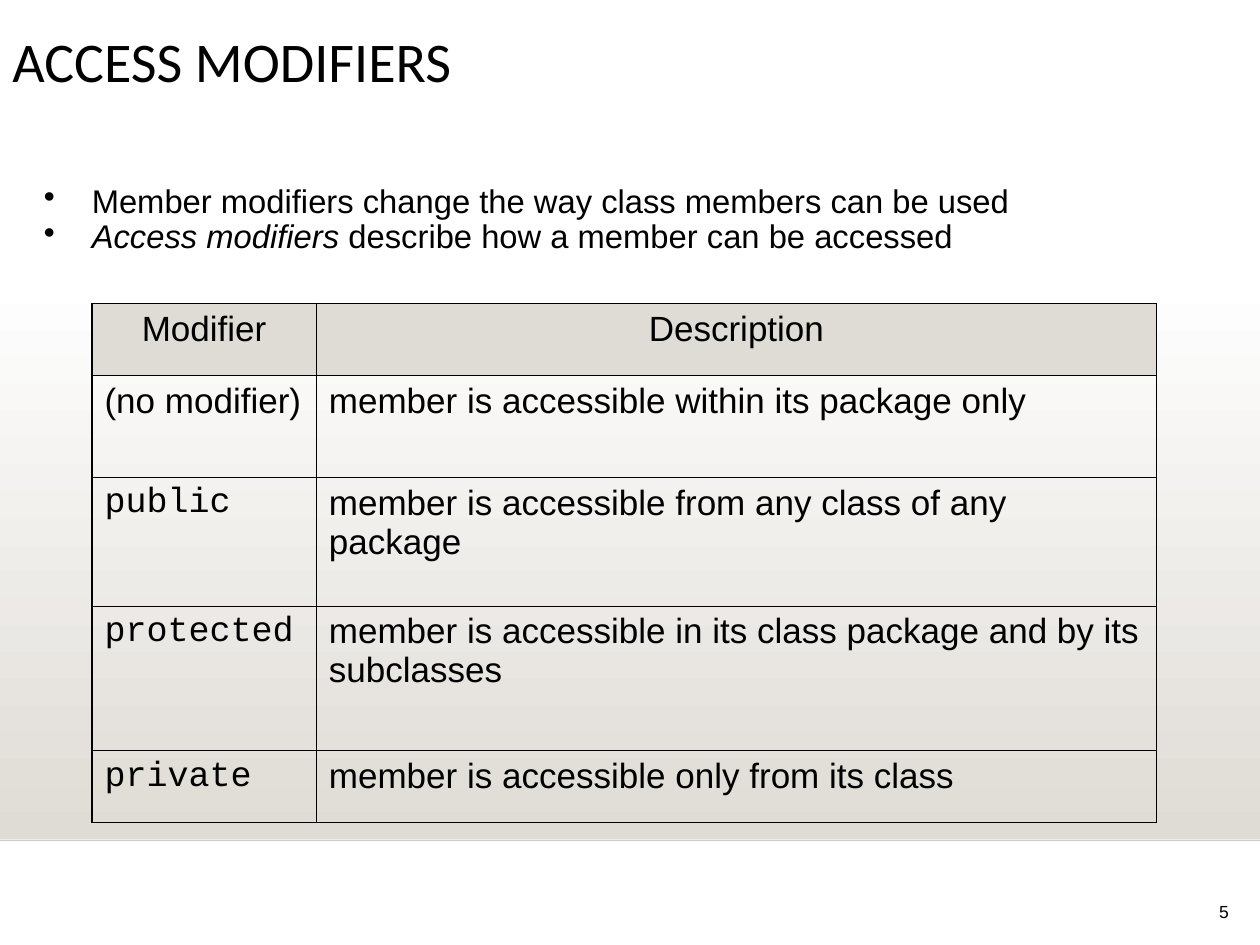
from dataclasses import dataclass

from lxml.etree import SubElement
from pptx import Presentation
from pptx.dml.color import RGBColor
from pptx.enum.shapes import MSO_CONNECTOR, MSO_SHAPE
from pptx.enum.text import MSO_ANCHOR, PP_ALIGN
from pptx.oxml.ns import qn
from pptx.util import Inches, Pt


@dataclass(frozen=True)
class Theme:
    ink: str = "000000"
    paper: str = "FFFFFF"
    sand: str = "DFDBD5"
    heading: str = "Calibri"
    body: str = "Arial"
    code: str = "Courier New"
    title_size: float = 32
    table_size: float = 20
    bullet_size: float = 18.7
    number_size: float = 10
    outer_line: float = 1.08
    inner_line: float = 0.45


class Deck:
    def __init__(self, prs, theme):
        self.theme = theme
        self.s = prs.slides.add_slide(prs.slide_layouts[6])

    def style(self, p, size, font, align=PP_ALIGN.LEFT):
        p.alignment = align
        p.font.size, p.font.name = Pt(size), font
        p.font.color.rgb = RGBColor.from_string(self.theme.ink)

    def gradient_band(self, x, y, w, h):
        sp = self.s.shapes.add_shape(
            MSO_SHAPE.RECTANGLE, Inches(x), Inches(y), Inches(w), Inches(h))
        sp.shadow.inherit = False
        sp.line.fill.background()
        sp.fill.gradient()
        sp.fill.gradient_angle = 270
        colors = (self.theme.paper, self.theme.sand)
        for stop, color in zip(sp.fill.gradient_stops, colors):
            stop.color.rgb = RGBColor.from_string(color)

    def rule(self, x, y, w, width, opacity):
        line = self.s.shapes.add_connector(
            MSO_CONNECTOR.STRAIGHT, Inches(x), Inches(y), Inches(x + w), Inches(y))
        line.line.width = Pt(width)
        line.line.color.rgb = RGBColor.from_string(self.theme.ink)
        color = line._element.spPr.find(".//" + qn("a:srgbClr"))
        SubElement(color, qn("a:alpha"), val=str(opacity * 1000))
        SubElement(line._element.spPr, qn("a:effectLst"))

    def text(self, x, y, w, h, paragraphs, size, font, align=PP_ALIGN.LEFT,
             anchor=MSO_ANCHOR.TOP, spacing=None, indent=None):
        """Each paragraph is a list of (text, italic) runs."""
        box = self.s.shapes.add_textbox(Inches(x), Inches(y), Inches(w), Inches(h))
        tf = box.text_frame
        tf.word_wrap, tf.vertical_anchor = True, anchor
        for i, runs in enumerate(paragraphs):
            p = tf.add_paragraph() if i else tf.paragraphs[0]
            self.style(p, size, font, align)
            p.line_spacing = spacing
            for content, italic in runs:
                r = p.add_run()
                r.text = content
                if italic:
                    r.font.italic = True
            if indent:
                self.bullet(p, indent)

    def bullet(self, p, indent):
        pPr = p._p.get_or_add_pPr()
        pPr.set("marL", str(Inches(indent)))
        pPr.set("indent", str(-Inches(indent)))
        mark = pPr.makeelement(qn("a:buChar"), {"char": "•"})
        pPr.insert_element_before(mark, "a:tabLst", "a:defRPr", "a:extLst")

    def borders(self, cell, widths):
        tcPr = cell._tc.get_or_add_tcPr()
        for i, (side, width) in enumerate(zip("LRTB", widths)):
            ln = tcPr.makeelement(qn("a:ln" + side), {"w": str(Pt(width))})
            fill = SubElement(ln, qn("a:solidFill"))
            SubElement(fill, qn("a:srgbClr"), val=self.theme.ink)
            tcPr.insert(i, ln)

    def table(self, x, y, col_widths, row_heights, rows):
        t = self.theme
        table = self.s.shapes.add_table(
            len(rows), len(col_widths), Inches(x), Inches(y),
            Inches(sum(col_widths)), Inches(sum(row_heights))).table
        table.first_row = table.horz_banding = False
        for col, w in zip(table.columns, col_widths):
            col.width = Inches(w)
        for row, h in zip(table.rows, row_heights):
            row.height = Inches(h)
        last_row, last_col = len(rows) - 1, len(col_widths) - 1
        for i, row in enumerate(rows):
            for j, content in enumerate(row):
                cell = table.cell(i, j)
                if i == 0:
                    cell.fill.solid()
                    cell.fill.fore_color.rgb = RGBColor.from_string(t.sand)
                else:
                    cell.fill.background()
                edges = (j == 0, j == last_col, i == 0, i == last_row)
                self.borders(cell, [t.outer_line if e else t.inner_line for e in edges])
                cell.text = content
                p = cell.text_frame.paragraphs[0]
                # Java keywords sit in the first column below "(no modifier)"
                font = t.code if j == 0 and i > 1 else t.body
                self.style(p, t.table_size, font,
                           PP_ALIGN.LEFT if i else PP_ALIGN.CENTER)
                p.space_before = Pt(5)


prs = Presentation()
prs.slide_width, prs.slide_height = Inches(10), Inches(7.5)
theme = Theme()
deck = Deck(prs, theme)

# Background band and its lower edge
deck.gradient_band(0, 2.2, 10, 4.46)
deck.rule(0, 6.67, 10, width=0.99, opacity=20)

# Slide number and title
deck.text(8, 7.08, 1.85, 0.29, [[("5", False)]], theme.number_size, theme.body,
          align=PP_ALIGN.RIGHT, anchor=MSO_ANCHOR.BOTTOM)
deck.text(0, 0.22, 8.92, 1, [[("ACCESS MODIFIERS", False)]],
          theme.title_size, theme.heading, spacing=0.9)

# Modifier table
deck.table(0.73, 2.41, [1.78, 6.67], [0.57, 0.81, 1.02, 1.15, 0.57], [
    ("Modifier", "Description"),
    ("(no modifier)", "member is accessible within its package only"),
    ("public", "member is accessible from any class of any package"),
    ("protected", "member is accessible in its class package and by its subclasses"),
    ("private", "member is accessible only from its class"),
])

# Introductory bullets
deck.text(0.25, 1.42, 9.25, 0.75, [
    [("Member modifiers change the way class members can be used", False)],
    [("Access modifiers", True), (" describe how a member can be accessed", False)],
], theme.bullet_size, theme.body, spacing=0.9, indent=0.38)

prs.save("out.pptx")
